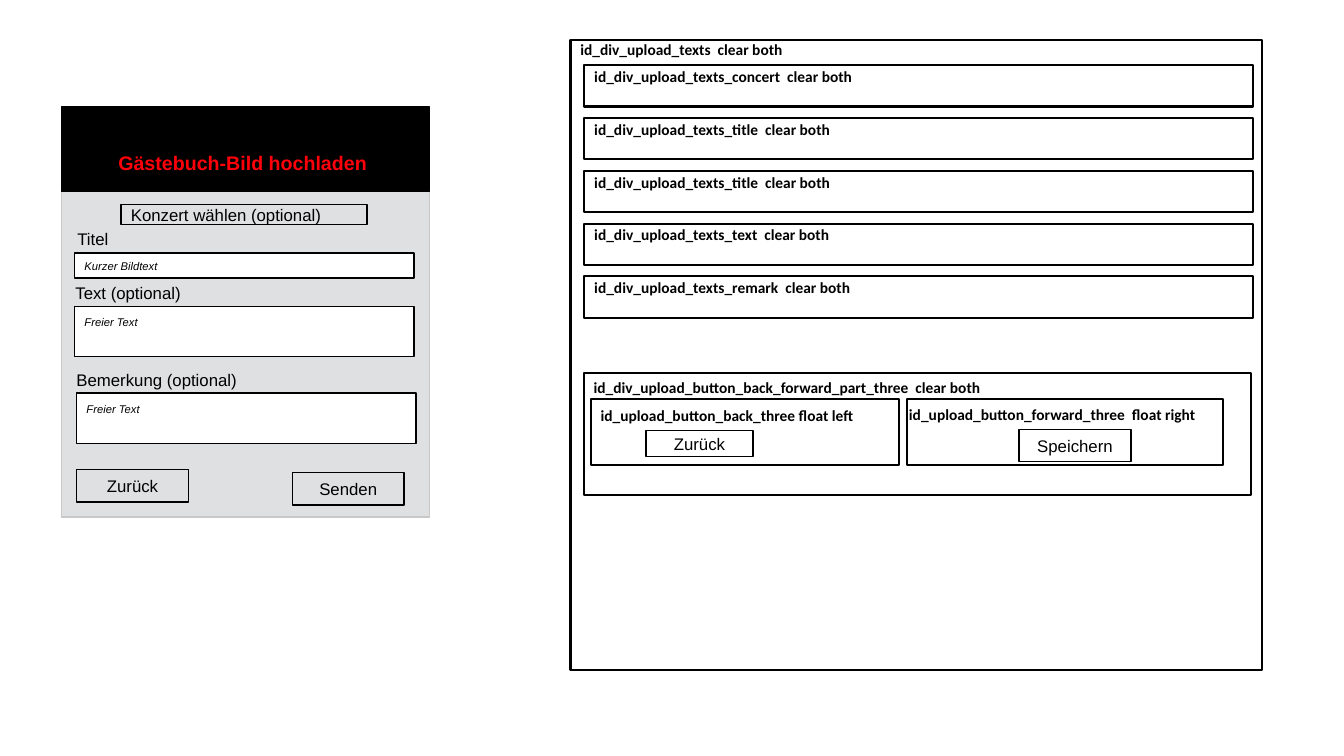
from pptx import Presentation
from pptx.dml.color import RGBColor
from pptx.enum.shapes import MSO_SHAPE
from pptx.enum.text import MSO_ANCHOR, MSO_AUTO_SIZE, PP_ALIGN
from pptx.util import Pt

RECTANGLE = MSO_SHAPE.RECTANGLE
TOP, MIDDLE = MSO_ANCHOR.TOP, MSO_ANCHOR.MIDDLE
LEFT, CENTER = PP_ALIGN.LEFT, PP_ALIGN.CENTER
NO_AUTOFIT = MSO_AUTO_SIZE.NONE

BLACK = RGBColor(0x00, 0x00, 0x00)
WHITE = RGBColor(0xFF, 0xFF, 0xFF)
RED = RGBColor(0xFF, 0x00, 0x0A)
PANEL_GRAY = RGBColor(0xDF, 0xE0, 0xE1)
BORDER_GRAY = RGBColor(0xC8, 0xC8, 0xC8)

# Content: places are (left, top, width, height) in points
HEADING = "Gästebuch-Bild hochladen"
HEADING_PLACE = (43.9, 76.3, 262.8, 60.5)
PANEL_PLACE = (43.9, 83.5, 262.8, 285.8)
CHOICE = ("Konzert wählen (optional)", (86.4, 146.2, 175.7, 14.4))
FIELD_LABELS = [
    ("Titel", (48.2, 159.8, 127.4, 21.6)),
    ("Text (optional)", (46.8, 198.7, 127.4, 21.6)),
    ("Bemerkung (optional)", (47.5, 260.6, 209.5, 21.6)),
]
FIELDS = [
    ("Kurzer Bildtext", (53.3, 180.7, 242.6, 18)),
    ("Freier Text", (53.3, 218.9, 242.6, 36)),
    ("Freier Text", (54.7, 280.8, 242.6, 36)),
]
BUTTONS = [
    ("Zurück", (54.7, 335.5, 79.9, 23)),
    ("Senden", (208.8, 337.7, 79.9, 23)),
    ("Zurück", (461.5, 307.4, 76.3, 18.7)),
    ("Speichern", (727.9, 306.7, 79.9, 23)),
]
# Frames: label, place, label offset (x, y), label width
FRAMES = [
    ("id_div_upload_texts  clear both", (407.5, 28.8, 493.9, 450), (0, -3.6), 341),
    ("id_div_upload_button_back_forward_part_three  clear both",
     (416.9, 266.4, 476.6, 87.1), (0, 0), 341),
    ("id_upload_button_back_three float left",
     (421.9, 285.1, 220.3, 46.8), (0, 1.4), 220.3),
    ("id_upload_button_forward_three  float right",
     (648, 285.1, 225.4, 46.8), (-5.8, 0.7), 255.6),
]
ROWS = [
    "id_div_upload_texts_concert  clear both",
    "id_div_upload_texts_title  clear both",
    "id_div_upload_texts_title  clear both",
    "id_div_upload_texts_text  clear both",
    "id_div_upload_texts_remark  clear both",
]
ROW_LEFT, ROW_TOP, ROW_STEP, ROW_WIDTH, ROW_HEIGHT = 417.4, 46.6, 37.7, 477.4, 29.5
LABEL_HEIGHT = 20.9


def style_box(shape, fill, line, line_width):
    if fill is None:
        shape.fill.background()
    else:
        shape.fill.solid()
        shape.fill.fore_color.rgb = fill
    shape.line.color.rgb = line
    shape.line.width = Pt(line_width)


def add_box(slide, place, fill=None, line=BLACK, line_width=1):
    shape = slide.shapes.add_shape(RECTANGLE, *map(Pt, place))
    shape.shadow.inherit = False
    style_box(shape, fill, line, line_width)
    return shape


def write(shape, text, size=12, font="Arial", color=BLACK, bold=False,
          italic=False, align=LEFT, anchor=MIDDLE):
    frame = shape.text_frame
    frame.word_wrap = True
    frame.auto_size = NO_AUTOFIT
    frame.vertical_anchor = anchor
    paragraph = frame.paragraphs[0]
    paragraph.alignment = align
    run = paragraph.add_run()
    run.text = text
    run.font.size = Pt(size)
    run.font.name = font
    run.font.bold = bold
    run.font.italic = italic
    run.font.color.rgb = color
    return frame


def add_label(slide, text, place, **style):
    write(slide.shapes.add_textbox(*map(Pt, place)), text, anchor=TOP, **style)


def add_frame(slide, text, place, offset, label_width):
    add_box(slide, place, line_width=1.5)
    label_place = (place[0] + offset[0], place[1] + offset[1], label_width, LABEL_HEIGHT)
    add_label(slide, text, label_place, size=11, font="Calibri", bold=True)


def build_form(slide):
    # Panel, with the heading bar in front of it
    add_box(slide, PANEL_PLACE, PANEL_GRAY, BORDER_GRAY)
    title = slide.shapes.title
    title.left, title.top, title.width, title.height = map(Pt, HEADING_PLACE)
    style_box(title, BLACK, BLACK, 1)
    frame = write(title, HEADING, size=14, color=RED, bold=True, align=CENTER)
    frame.margin_top, frame.margin_right = Pt(23), Pt(11)
    slide.shapes._spTree.append(title._element)

    # Choice, labels and input fields
    text, place = CHOICE
    write(add_box(slide, place), text)
    for text, place in FIELD_LABELS:
        add_label(slide, text, place)
    for text, place in FIELDS:
        is_tall = place[3] > 20
        frame = write(add_box(slide, place, WHITE), text, size=8, italic=True,
                      anchor=TOP if is_tall else MIDDLE)
        if is_tall:
            frame.margin_top = Pt(6.5)


def build_structure(slide):
    # Outer frame and button frames
    for frame in FRAMES:
        add_frame(slide, *frame)
    # Evenly spaced text rows
    for index, text in enumerate(ROWS):
        place = (ROW_LEFT, ROW_TOP + index * ROW_STEP, ROW_WIDTH, ROW_HEIGHT)
        add_frame(slide, text, place, (0, -2.2), 341)


def main():
    presentation = Presentation()
    presentation.slide_width, presentation.slide_height = Pt(960), Pt(540)
    slide = presentation.slides.add_slide(presentation.slide_layouts[5])
    build_form(slide)
    build_structure(slide)
    # Buttons of both halves
    for text, place in BUTTONS:
        write(add_box(slide, place), text, align=CENTER)
    presentation.save("out.pptx")


if __name__ == "__main__":
    main()
